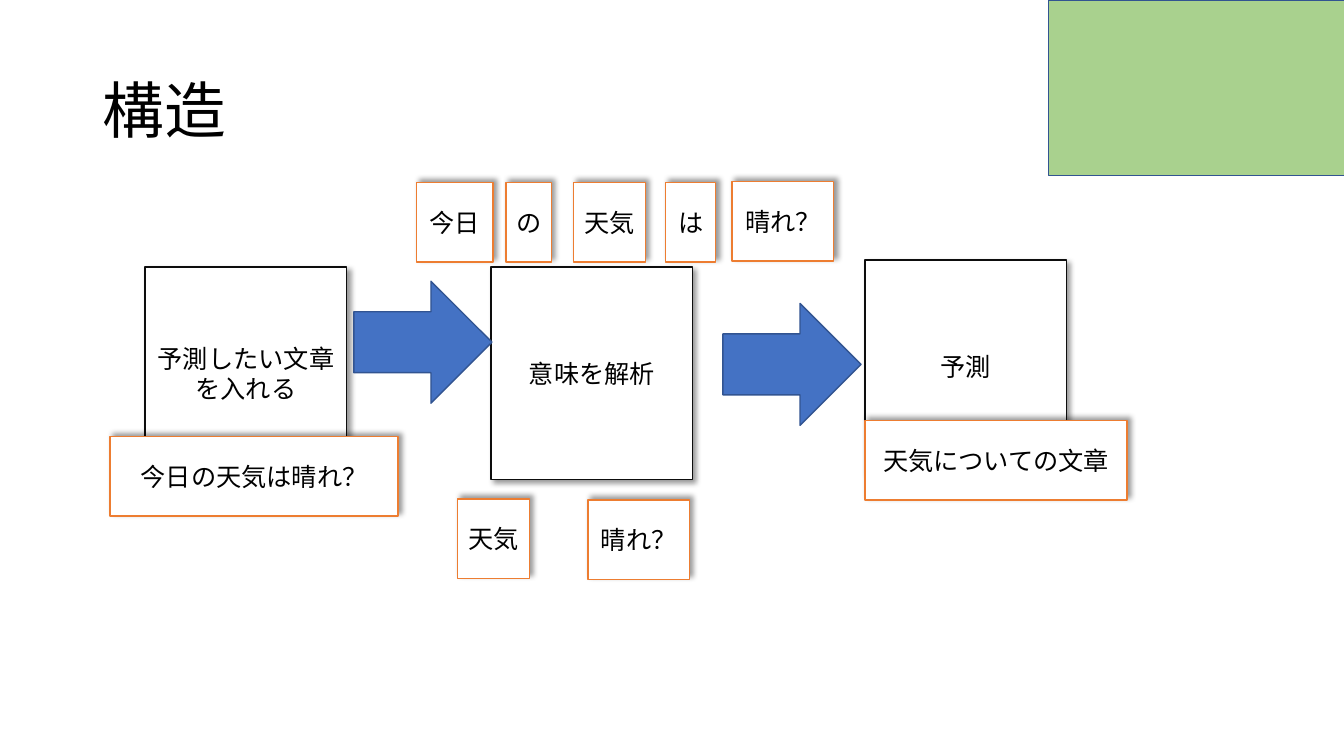
from lxml import etree
from pptx import Presentation
from pptx.dml.color import RGBColor
from pptx.enum import shapes, text
from pptx.oxml import ns
from pptx.util import Inches, Pt

THEME = dict(
    font="Noto Sans CJK JP", title=44, body=18, line=1,
    ink="000000", paper="FFFFFF", stage="0D0D0D", token="ED7D31",
    arrow="4472C4", edge="325491", panel="A9D18E",
)
TITLE = "構造"
STAGES = [("予測したい文章を入れる", 1.44, 2.65), ("意味を解析", 4.87, 2.65), ("予測", 8.58, 2.58)]
ARROWS = [(3.51, 2.79), (7.17, 3.01)]
TOKENS = [
    ("今日の天気は晴れ？", 1.09, 4.33, 2.86),
    ("今日", 4.13, 1.81, 0.76),
    ("の", 5.02, 1.81, 0.45),
    ("天気", 5.69, 1.81, 0.71),
    ("は", 6.6, 1.81, 0.5),
    ("晴れ？", 7.26, 1.8, 1.01),
    ("天気", 4.54, 4.95, 0.71),
    ("晴れ？", 5.83, 4.96, 1.01),
    ("天気についての文章", 8.58, 4.17, 2.6),
]
STAGE_SIZE = (2, 2.11)
ARROW_SIZE = (1.37, 1.21)
TOKEN_HEIGHT = 0.79
DOWN_RIGHT, UP_RIGHT = 45, 315

prs = Presentation()
prs.slide_width, prs.slide_height = Inches(13.33), Inches(7.5)
s = prs.slides.add_slide(prs.slide_layouts[6])


def write(sp, words, size=THEME["body"], align=text.PP_ALIGN.CENTER, wrap=True, spacing=None):
    tf = sp.text_frame
    tf.word_wrap = wrap
    tf.vertical_anchor = text.MSO_ANCHOR.MIDDLE
    p = tf.paragraphs[0]
    p.alignment = align
    p.line_spacing = spacing
    r = p.add_run()
    r.text = words
    r.font.size = Pt(size)
    r.font.name = THEME["font"]
    r.font.color.rgb = RGBColor.from_string(THEME["ink"])
    ea = etree.SubElement(r._r.get_or_add_rPr(), ns.qn("a:ea"))
    ea.set("typeface", THEME["font"])


def cast_shadow(sp, angle):
    effects = sp._element.spPr.find(ns.qn("a:effectLst"))
    shadow = etree.SubElement(
        effects, ns.qn("a:outerShdw"), blurRad=str(Pt(4)), dist=str(Pt(3)),
        dir=str(angle * 60000), algn="ctr", rotWithShape="0")
    color = etree.SubElement(shadow, ns.qn("a:srgbClr"), val=THEME["ink"])
    etree.SubElement(color, ns.qn("a:alpha"), val="40000")


def draw(kind, box, fill, line, angle=None):
    sp = s.shapes.add_shape(kind, *map(Inches, box))
    sp.shadow.inherit = False
    sp.fill.solid()
    sp.fill.fore_color.rgb = RGBColor.from_string(THEME[fill])
    sp.line.color.rgb = RGBColor.from_string(THEME[line])
    sp.line.width = Pt(THEME["line"])
    if angle is not None:
        cast_shadow(sp, angle)
    return sp


RECT = shapes.MSO_SHAPE.RECTANGLE
title = s.shapes.add_textbox(*map(Inches, (0.92, 0.4, 11.5, 1.45)))
write(title, TITLE, size=THEME["title"], align=text.PP_ALIGN.LEFT, spacing=0.9)
draw(RECT, (10.4, 0, 2.94, 1.74), "panel", "edge")

for words, x, y in STAGES:
    write(draw(RECT, (x, y, *STAGE_SIZE), "paper", "stage", DOWN_RIGHT), words)
for x, y in ARROWS:
    draw(shapes.MSO_SHAPE.RIGHT_ARROW, (x, y, *ARROW_SIZE), "arrow", "edge")
for words, x, y, width in TOKENS:
    sp = draw(RECT, (x, y, width, TOKEN_HEIGHT), "paper", "token", UP_RIGHT)
    write(sp, words, wrap=False)

prs.save("out.pptx")
